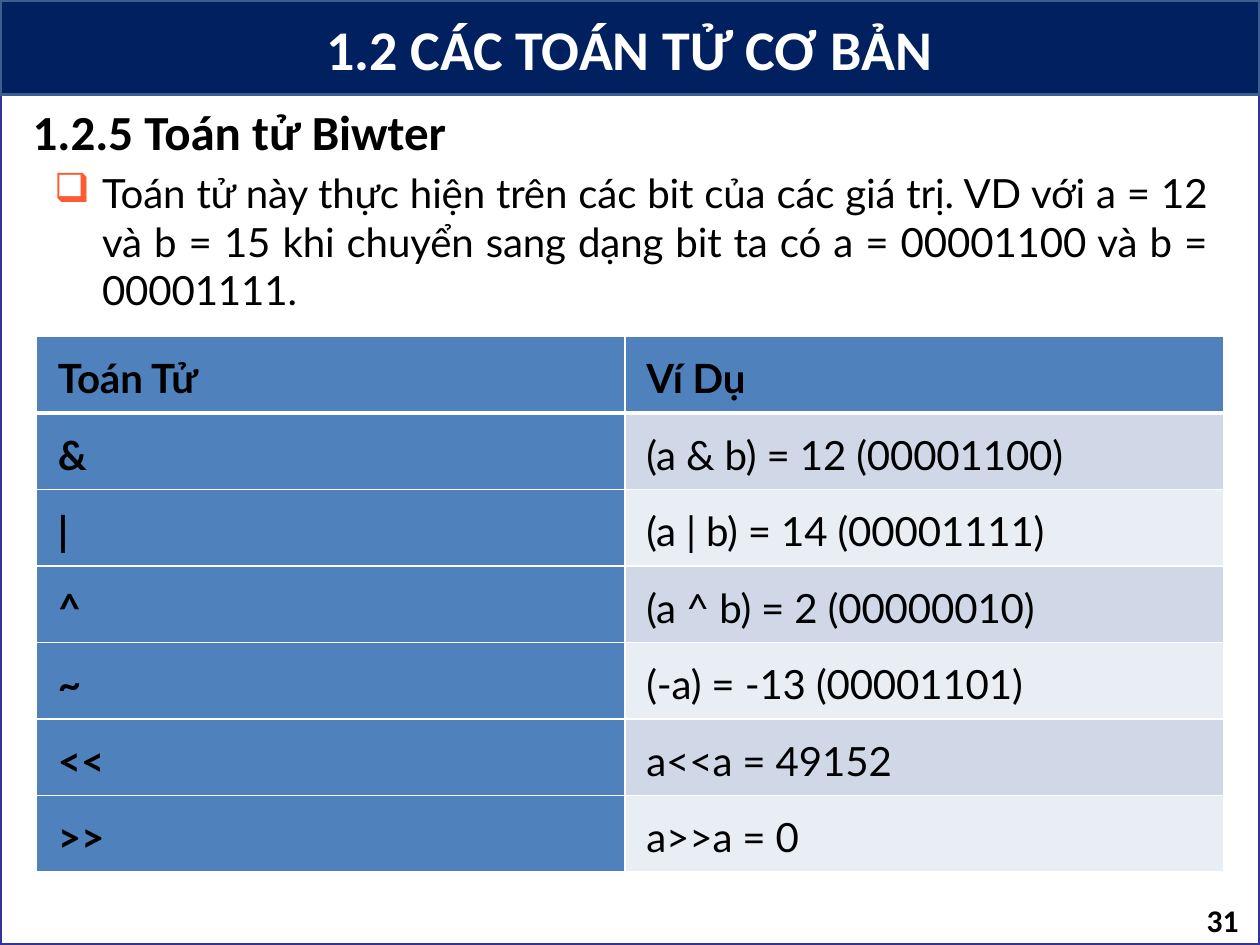
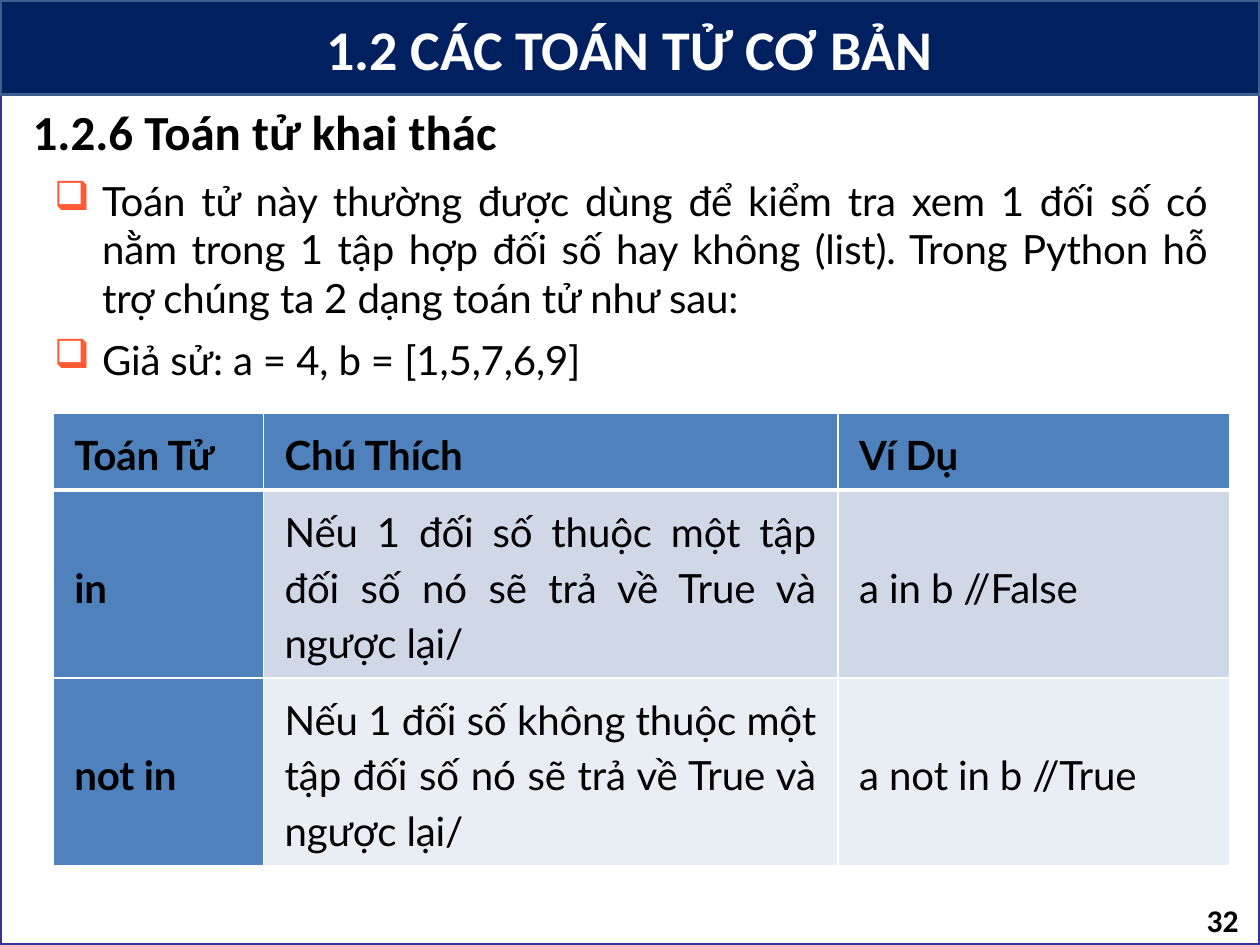
from dataclasses import dataclass

from lxml import etree
from pptx import Presentation
from pptx import util as u
from pptx.dml.color import RGBColor
from pptx.enum import shapes, text
from pptx.oxml.ns import qn

I = u.Inches
AL = text.PP_ALIGN
MIDDLE = text.MSO_ANCHOR.MIDDLE


@dataclass(frozen=True)
class Theme:
    white: str = "FFFFFF"
    black: str = "000000"
    frame: str = "333399"
    band: str = "002060"
    band_line: str = "3A5F8C"
    bullet: str = "FF5A33"
    key: str = "4F81BD"
    stripes: tuple = ("D0D8E8", "E9EDF4")
    head_font: str = "Calibri"
    body_font: str = "Lato"
    title: int = 32
    heading: int = 28
    body: int = 23
    number: int = 18


T = Theme()


def rgb(value):
    return RGBColor.from_string(value)


def add_text(p, content, size=T.body, font=T.body_font, color=T.black, bold=False,
             align=AL.LEFT, before=0, line=None, spacing=0):
    p.alignment = align
    p.space_before = u.Pt(before)
    if line:
        p.line_spacing = line
    r = p.add_run()
    r.text = content
    r.font.size = u.Pt(size)
    r.font.name = font
    r.font.bold = bold
    r.font.color.rgb = rgb(color)
    if spacing:
        r._r.get_or_add_rPr().set("spc", str(round(spacing * 100)))


def add_box(s, at, insets=(0, 0.01, 0, 0), anchor=text.MSO_ANCHOR.TOP, wrap=True):
    tf = s.shapes.add_textbox(*map(I, at)).text_frame
    tf.margin_left, tf.margin_top, tf.margin_right, tf.margin_bottom = map(I, insets)
    tf.vertical_anchor = anchor
    tf.word_wrap = wrap
    return tf


def add_rect(s, at, fill, line):
    sp = s.shapes.add_shape(shapes.MSO_SHAPE.RECTANGLE, *map(I, at))
    sp.shadow.inherit = False
    sp.fill.solid()
    sp.fill.fore_color.rgb = rgb(fill)
    sp.line.color.rgb = rgb(line)
    sp.line.width = u.Pt(2)


def add_bullet(p):
    pPr = p._p.get_or_add_pPr()
    pPr.set("marL", str(I(0.39)))
    pPr.set("indent", str(I(-0.38)))
    clr = etree.SubElement(pPr, qn("a:buClr"))
    etree.SubElement(clr, qn("a:srgbClr"), val=T.bullet)
    etree.SubElement(pPr, qn("a:buChar"), char="❑")


def add_bullets(s, at, items):
    tf = add_box(s, at, insets=(0, 0.11, 0, 0))
    for i, item in enumerate(items):
        p = tf.add_paragraph() if i else tf.paragraphs[0]
        add_text(p, item, align=AL.JUSTIFY, before=7.8, spacing=-0.1)
        add_bullet(p)


def set_borders(cell, top=1, bottom=1):
    tcPr = cell._tc.get_or_add_tcPr()
    for side, width in (("L", 1), ("R", 1), ("T", top), ("B", bottom)):
        ln = etree.SubElement(tcPr, qn(f"a:ln{side}"), w=str(u.Pt(width)))
        fill = etree.SubElement(ln, qn("a:solidFill"))
        etree.SubElement(fill, qn("a:srgbClr"), val=T.white)


def fill_cell(cell, content, row, col, justify):
    is_key = row == 0 or col == 0
    cell.margin_left = cell.margin_right = I(0.17)
    cell.margin_top = cell.margin_bottom = I(0.08)
    cell.vertical_anchor = MIDDLE
    set_borders(cell, top=3 if row == 1 else 1, bottom=3 if row == 0 else 1)
    cell.fill.solid()
    cell.fill.fore_color.rgb = rgb(T.key if is_key else T.stripes[(row - 1) % 2])
    add_text(cell.text_frame.paragraphs[0], content, bold=is_key, line=1.15, spacing=-0.1,
             align=AL.JUSTIFY if justify and not is_key else AL.LEFT)


def add_table(s, left, top, cols, heights, rows, justified=None):
    frame = s.shapes.add_table(len(rows), len(cols), I(left), I(top),
                               I(sum(cols)), I(sum(heights)))
    tbl = frame.table
    tbl.horz_banding = False
    for column, width in zip(tbl.columns, cols):
        column.width = I(width)
    for i, (height, values) in enumerate(zip(heights, rows)):
        tbl.rows[i].height = I(height)
        for j, value in enumerate(values):
            fill_cell(tbl.cell(i, j), value, i, j, j == justified)


def add_slide(prs, number, heading):
    s = prs.slides.add_slide(prs.slide_layouts[6])
    add_rect(s, (0, 0, 10, 7.5), T.white, T.frame)
    add_rect(s, (0, 0, 10, 0.75), T.band, T.band_line)
    tf = add_box(s, (0.08, 0.1, 9.83, 0.55), anchor=MIDDLE)
    add_text(tf.paragraphs[0], "1.2 CÁC TOÁN TỬ CƠ BẢN", size=T.title, font=T.head_font,
             color=T.white, bold=True, align=AL.CENTER, before=1)
    tf = add_box(s, (0.15, 0.76, 3.95, 0.57), insets=(0.11, 0.05, 0.1, 0.05), wrap=False)
    add_text(tf.paragraphs[0], heading, size=T.heading, font=T.head_font, bold=True, before=7.8)
    tf = add_box(s, (7.5, 7.1, 2.33, 0.4), anchor=MIDDLE)
    add_text(tf.paragraphs[0], str(number), size=T.number, font=T.head_font, bold=True,
             align=AL.RIGHT, before=1)
    return s


def bitwise_slide(prs):
    s = add_slide(prs, 31, "1.2.5 Toán tử Biwter")
    add_bullets(s, (0.42, 1.23, 9.17, 1.27), [
        "Toán tử này thực hiện trên các bit của các giá trị. VD với a = 12 và b = 15 "
        "khi chuyển sang dạng bit ta có a = 00001100 và b = 00001111."])
    rows = [
        ("Toán Tử", "Ví Dụ"),
        ("&", "(a & b) = 12 (00001100)"),
        ("|", "(a | b) = 14 (00001111)"),
        ("^", "(a ^ b) = 2 (00000010)"),
        ("~", "(-a) = -13 (00001101)"),
        ("<<", "a<<a = 49152"),
        (">>", "a>>a = 0"),
    ]
    add_table(s, 0.29, 2.67, (4.67, 4.75), [4.25 / len(rows)] * len(rows), rows)


def membership_slide(prs):
    s = add_slide(prs, 32, "1.2.6 Toán tử khai thác")
    add_bullets(s, (0.42, 1.29, 9.17, 1.77), [
        "Toán tử này thường được dùng để kiểm tra xem 1 đối số có nằm trong 1 tập hợp "
        "đối số hay không (list). Trong Python hỗ trợ chúng ta 2 dạng toán tử như sau:",
        "Giả sử: a = 4, b = [1,5,7,6,9]"])
    rows = [
        ("Toán Tử", "Chú Thích", "Ví Dụ"),
        ("in", "Nếu 1 đối số thuộc một tập đối số nó sẽ trả về True và ngược lại/",
         "a in b //False"),
        ("not in", "Nếu 1 đối số không thuộc một tập đối số nó sẽ trả về True và ngược lại/",
         "a not in b //True"),
    ]
    add_table(s, 0.42, 3.28, (1.67, 4.56, 3.11), (0.61, 1.49, 1.49), rows, justified=1)


def main():
    prs = Presentation()
    prs.slide_width, prs.slide_height = I(10), I(7.5)
    bitwise_slide(prs)
    membership_slide(prs)
    prs.save("out.pptx")


if __name__ == "__main__":
    main()
